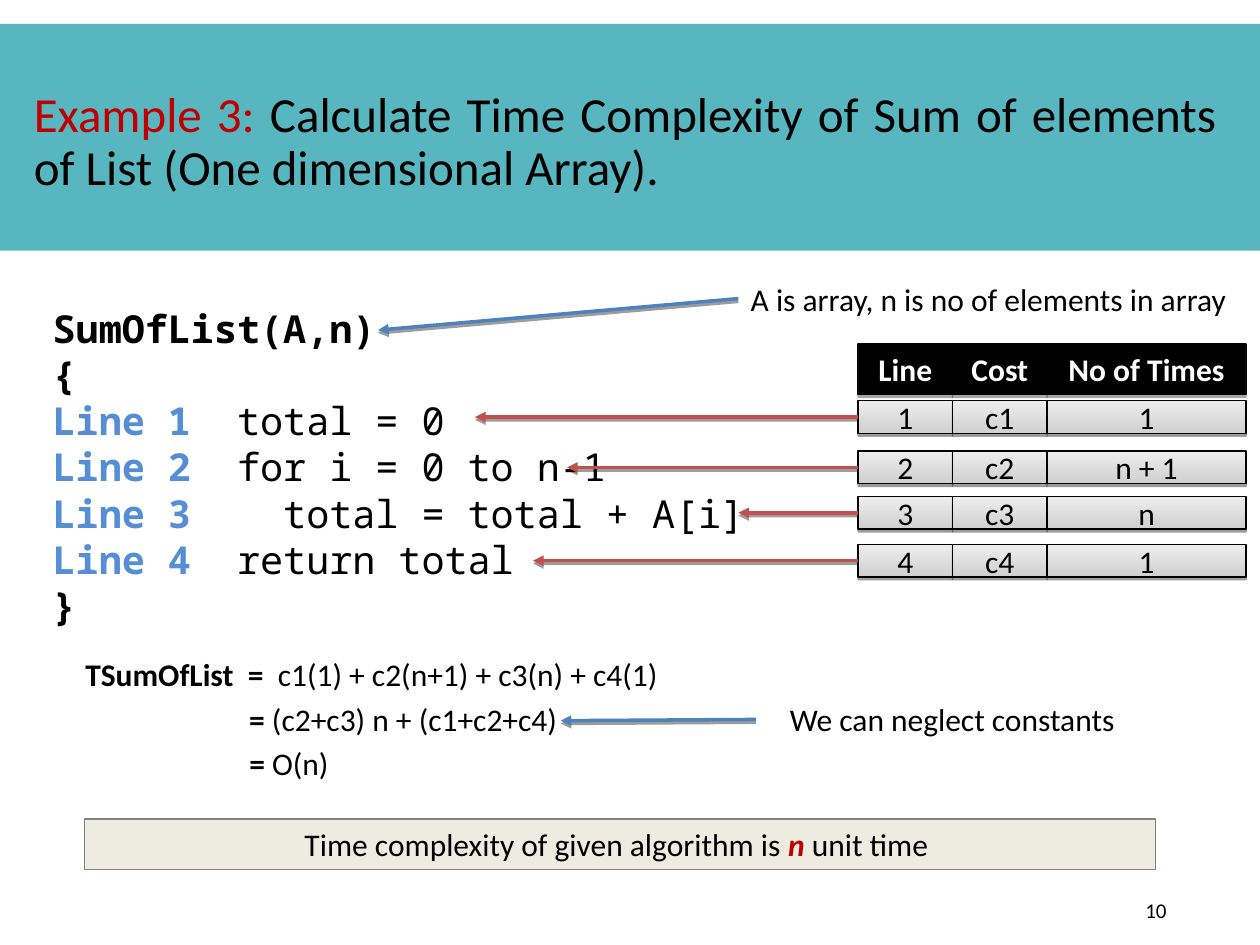
from lxml import etree
from pptx import Presentation, oxml
from pptx.dml.color import RGBColor
from pptx.enum import shapes, text
from pptx.oxml.ns import qn
from pptx.util import Inches, Pt

BLACK, WHITE, RED = "000000", "FFFFFF", "C00000"
BLUE, LABEL, CLARET = "4F81BD", "558ED5", "C0504D"
BODY = {"size": Pt(18), "name": "Calibri", "color": BLACK}
BOLD = {"bold": True}
MID, JUST = text.PP_ALIGN.CENTER, text.PP_ALIGN.JUSTIFY


def rgb(code):
    return RGBColor.from_string(code)


def shade(shape, alpha, dist):
    """Give a shape or connector a hard shadow straight below it."""
    props = shape._element.spPr
    for old in props.findall(qn("a:effectLst")):
        props.remove(old)
    list_ = etree.SubElement(props, qn("a:effectLst"))
    list_.append(oxml.parse_xml(
        '<a:outerShdw xmlns:a="http://schemas.openxmlformats.org/drawingml/2006/main"'
        f' blurRad="0" dist="{Pt(dist)}" dir="5400000" rotWithShape="0">'
        f'<a:srgbClr val="{BLACK}"><a:alpha val="{alpha * 1000}"/></a:srgbClr>'
        '</a:outerShdw>'))


def write(shape, paras, base=BODY, align=None, grow=True, **frame):
    """Fill a shape with paragraphs, each a list of (words, format) runs."""
    tf = shape.text_frame
    tf.word_wrap = True
    sizes = text.MSO_AUTO_SIZE
    tf.auto_size = sizes.SHAPE_TO_FIT_TEXT if grow else sizes.NONE
    tf.vertical_anchor = text.MSO_ANCHOR.TOP
    for key, val in frame.items():
        setattr(tf, key, val)
    for i, runs in enumerate(paras):
        para = tf.paragraphs[0] if i == 0 else tf.add_paragraph()
        para.alignment = align or text.PP_ALIGN.LEFT
        for words, form in runs:
            run = para.add_run()
            run.text = words
            for key, val in {**base, **form}.items():
                if key == "color":
                    run.font.color.rgb = rgb(val)
                else:
                    setattr(run.font, key, val)
    return tf


def label(slide, at, paras, **opts):
    box = slide.shapes.add_textbox(*map(Inches, at))
    return write(box, paras, **opts)


def rect(slide, at, fill, edge=None):
    """Add a rectangle; a pair of colours makes a top-down gradient."""
    box = slide.shapes.add_shape(shapes.MSO_SHAPE.RECTANGLE, *map(Inches, at))
    box.shadow.inherit = False
    if isinstance(fill, tuple):
        box.fill.gradient()
        box.fill.gradient_angle = 270
        for stop, code in zip(box.fill.gradient_stops, fill):
            stop.color.rgb = rgb(code)
    else:
        box.fill.solid()
        box.fill.fore_color.rgb = rgb(fill)
    if edge:
        box.line.color.rgb = rgb(edge)
        box.line.width = Pt(0.75)
    else:
        box.line.fill.background()
    return box


def arrow(slide, start, end, color):
    line = slide.shapes.add_connector(
        shapes.MSO_CONNECTOR.STRAIGHT, *map(Inches, start + end))
    line.line.color.rgb = rgb(color)
    line.line.width = Pt(2)
    tip = etree.SubElement(line.line._get_or_add_ln(), qn("a:tailEnd"))
    tip.set("type", "triangle")
    shade(line, 38, 1.6)


def row(slide, top, words, head=False):
    """Add one row of the cost grid."""
    left = 6.81
    for word, wide in zip(words, (0.75, 0.75, 1.58)):
        at = (left, top, wide, 0.4 if head else 0.26)
        if head:
            box = rect(slide, at, BLACK, BLACK)
            shade(box, 35, 1.8)
            write(box, [[(word, {"color": WHITE, "bold": True})]], align=MID)
        else:
            box = rect(slide, at, ("EDEDED", "D0D0D0"), BLACK)
            shade(box, 38, 1.6)
            write(box, [[(word, {})]], align=MID, grow=False,
                  vertical_anchor=text.MSO_ANCHOR.MIDDLE)
        left += wide


def title(slide):
    rect(slide, (0, 0.19, 10, 1.8), "58B6C0")
    tf = label(slide, (0.17, 0.67, 9.58, 0.93), [[
        ("Example 3:", {"color": RED}),
        (" Calculate Time Complexity of Sum of elements of List"
         " (One dimensional Array).", {})]],
        base={**BODY, "size": Pt(28)}, align=JUST, grow=False)
    tf.paragraphs[0].line_spacing = 0.9
    tf.paragraphs[0].space_before = Pt(6)


def code(slide):
    mark = {"color": LABEL, "bold": True}
    steps = ("  total = 0", "  for i = 0 to n-1",
             "    total = total + A[i]", "  return total")
    lines = [[(f"Line {i}", mark), (step, {})]
             for i, step in enumerate(steps, 1)]
    paras = [[("SumOfList(A,n)", BOLD)], [("{", BOLD)], *lines, [("}", BOLD)]]
    label(slide, (0.32, 2.37, 6, 2.66), paras,
          base={"size": Pt(22), "name": "Noto Sans Mono", "color": BLACK})
    label(slide, (5.86, 2.17, 4.08, 0.4),
          [[("A is array, n is no of elements in array", {})]])
    arrow(slide, (5.86, 2.37), (3, 2.62), BLUE)


def costs(slide):
    row(slide, 2.73, ("Line", "Cost", "No of Times"), head=True)
    # Row top, times run, arrow tip
    rows = ((3.18, "1", 3.77), (3.58, "n + 1", 4.5),
            (3.94, "n", 5.86), (4.32, "1", 4.23))
    for i, (top, times, tip) in enumerate(rows, 1):
        row(slide, top, (str(i), f"c{i}", times))
        arrow(slide, (6.81, top + 0.13), (tip, top + 0.13), CLARET)


def result(slide):
    sums = (((0.58, 5.15, 5.5, 0.4), "TSumOfList  =  ",
             "c1(1) + c2(n+1) + c3(n) + c4(1)"),
            ((1.88, 5.51, 3.16, 0.4), "=", " (c2+c3) n + (c1+c2+c4)"),
            ((1.88, 5.86, 2.58, 0.4), "=", " O(n)"))
    for at, lead, rest in sums:
        label(slide, at, [[(lead, BOLD), (rest, {})]])
    label(slide, (6.17, 5.51, 3.16, 0.4), [[("We can neglect constants", {})]])
    arrow(slide, (6, 5.71), (4.45, 5.72), BLUE)
    box = rect(slide, (0.67, 6.5, 8.5, 0.4), "EEECE1", "808080")
    write(box, [[("Time complexity of given algorithm is ", {}),
                 ("n", {"color": RED, "bold": True, "italic": True}),
                 (" unit time ", {})]], align=MID)


def main():
    deck = Presentation()
    deck.slide_width, deck.slide_height = Inches(10), Inches(7.5)
    slide = deck.slides.add_slide(deck.slide_layouts[6])
    title(slide)
    code(slide)
    costs(slide)
    result(slide)
    # Page number
    label(slide, (9.04, 7.02, 0.78, 0.4), [[("10", {"size": Pt(12)})]],
          grow=False, margin_left=Inches(0.05),
          vertical_anchor=text.MSO_ANCHOR.MIDDLE)
    deck.save("out.pptx")


if __name__ == "__main__":
    main()
